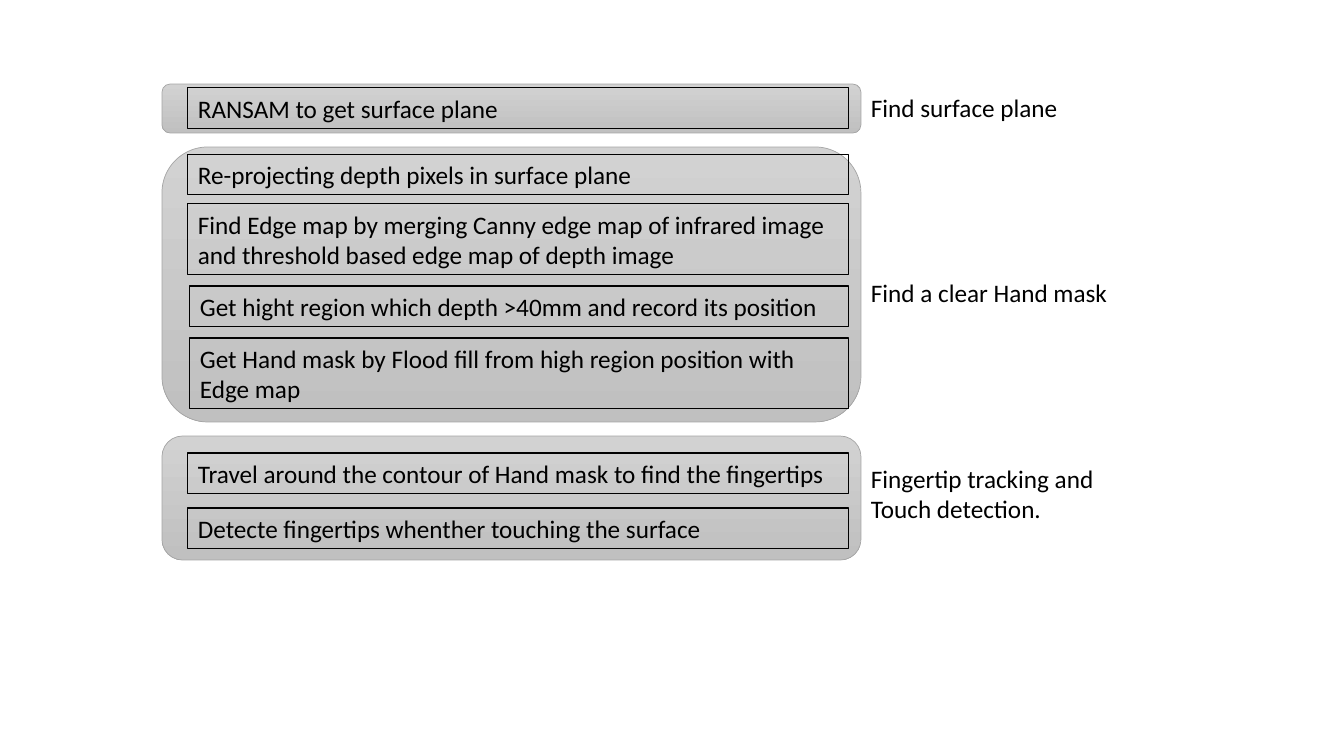
from dataclasses import dataclass

from pptx import Presentation
from pptx.dml.color import RGBColor
from pptx.enum.shapes import MSO_SHAPE
from pptx.enum.text import MSO_AUTO_SIZE, PP_ALIGN
from pptx.shapes.autoshape import Shape
from pptx.slide import Slide
from pptx.util import Emu, Pt

EMU_PER_PIXEL = 914400 / 100.8


@dataclass(frozen=True)
class Theme:
    font: str = "Calibri"
    text_size: Pt = Pt(18)
    ink: RGBColor = RGBColor(0x00, 0x00, 0x00)
    panel_top: RGBColor = RGBColor(0xD2, 0xD2, 0xD2)
    panel_bottom: RGBColor = RGBColor(0xC0, 0xC0, 0xC0)
    panel_line: RGBColor = RGBColor(0xA5, 0xA5, 0xA5)
    panel_line_width: Pt = Pt(0.5)
    step_line_width: Pt = Pt(0.75)


@dataclass(frozen=True)
class Step:
    text: str
    top: int
    lines: int = 1
    left: int = 188


@dataclass(frozen=True)
class Stage:
    label: str
    label_top: int
    top: int
    height: int
    steps: tuple[Step, ...]
    label_lines: int = 1


THEME = Theme()
PANEL_LEFT, PANEL_WIDTH = 162, 699
STEP_RIGHT = 849
LABEL_LEFT, LABEL_WIDTH = 861, 276
BOX_HEIGHTS = {1: 41, 2: 71}

STAGES = (
    Stage("Find surface plane", 87, 84, 49, (
        Step("RANSAM to get surface plane", 88),
    )),
    Stage("Find a clear Hand mask", 272, 147, 275, (
        Step("Re-projecting depth pixels in surface plane", 154),
        Step("Find Edge map by merging Canny edge map of infrared image "
             "and threshold based edge map of depth image", 204, lines=2),
        Step("Get hight region which depth >40mm and record its position",
             286, left=190),
        Step("Get Hand mask by Flood fill from high region position with "
             "Edge map", 338, lines=2, left=190),
    )),
    Stage("Fingertip tracking and Touch detection.", 458, 436, 124, (
        Step("Travel around the contour of Hand mask to find the fingertips", 453),
        Step("Detecte fingertips whenther touching the surface", 508),
    ), label_lines=2),
)


def px(pixels: int) -> Emu:
    return Emu(round(pixels * EMU_PER_PIXEL))


def write_text(box: Shape, text: str) -> None:
    frame = box.text_frame
    frame.word_wrap = True
    frame.auto_size = MSO_AUTO_SIZE.SHAPE_TO_FIT_TEXT
    para = frame.paragraphs[0]
    para.text = text
    para.alignment = PP_ALIGN.LEFT
    para.font.name = THEME.font
    para.font.size = THEME.text_size
    para.font.color.rgb = THEME.ink


def add_outlined(page: Slide, kind: MSO_SHAPE, left: int, top: int, width: int,
                 height: int, color: RGBColor, line_width: Pt) -> Shape:
    shape = page.shapes.add_shape(kind, px(left), px(top), px(width), px(height))
    shape.shadow.inherit = False
    shape.line.color.rgb = color
    shape.line.width = line_width
    return shape


def add_panel(page: Slide, stage: Stage) -> None:
    panel = add_outlined(page, MSO_SHAPE.ROUNDED_RECTANGLE, PANEL_LEFT, stage.top,
                         PANEL_WIDTH, stage.height,
                         THEME.panel_line, THEME.panel_line_width)
    panel.fill.gradient()
    panel.fill.gradient_angle = 270
    colors = (THEME.panel_top, THEME.panel_bottom)
    for stop, position, color in zip(panel.fill.gradient_stops, (0, 1), colors):
        stop.position = position
        stop.color.rgb = color


def add_step(page: Slide, step: Step) -> None:
    box = add_outlined(page, MSO_SHAPE.RECTANGLE, step.left, step.top,
                       STEP_RIGHT - step.left, BOX_HEIGHTS[step.lines],
                       THEME.ink, THEME.step_line_width)
    box.fill.background()
    write_text(box, step.text)


def add_label(page: Slide, stage: Stage) -> None:
    box = page.shapes.add_textbox(px(LABEL_LEFT), px(stage.label_top),
                                  px(LABEL_WIDTH),
                                  px(BOX_HEIGHTS[stage.label_lines]))
    write_text(box, stage.label)


# Deck with one blank page
deck = Presentation()
deck.slide_width, deck.slide_height = px(1344), px(756)
page = deck.slides.add_slide(deck.slide_layouts[6])

# Each stage: panel, its steps, and the label beside it
for stage in STAGES:
    add_panel(page, stage)
    for step in stage.steps:
        add_step(page, step)
    add_label(page, stage)

deck.save("out.pptx")
